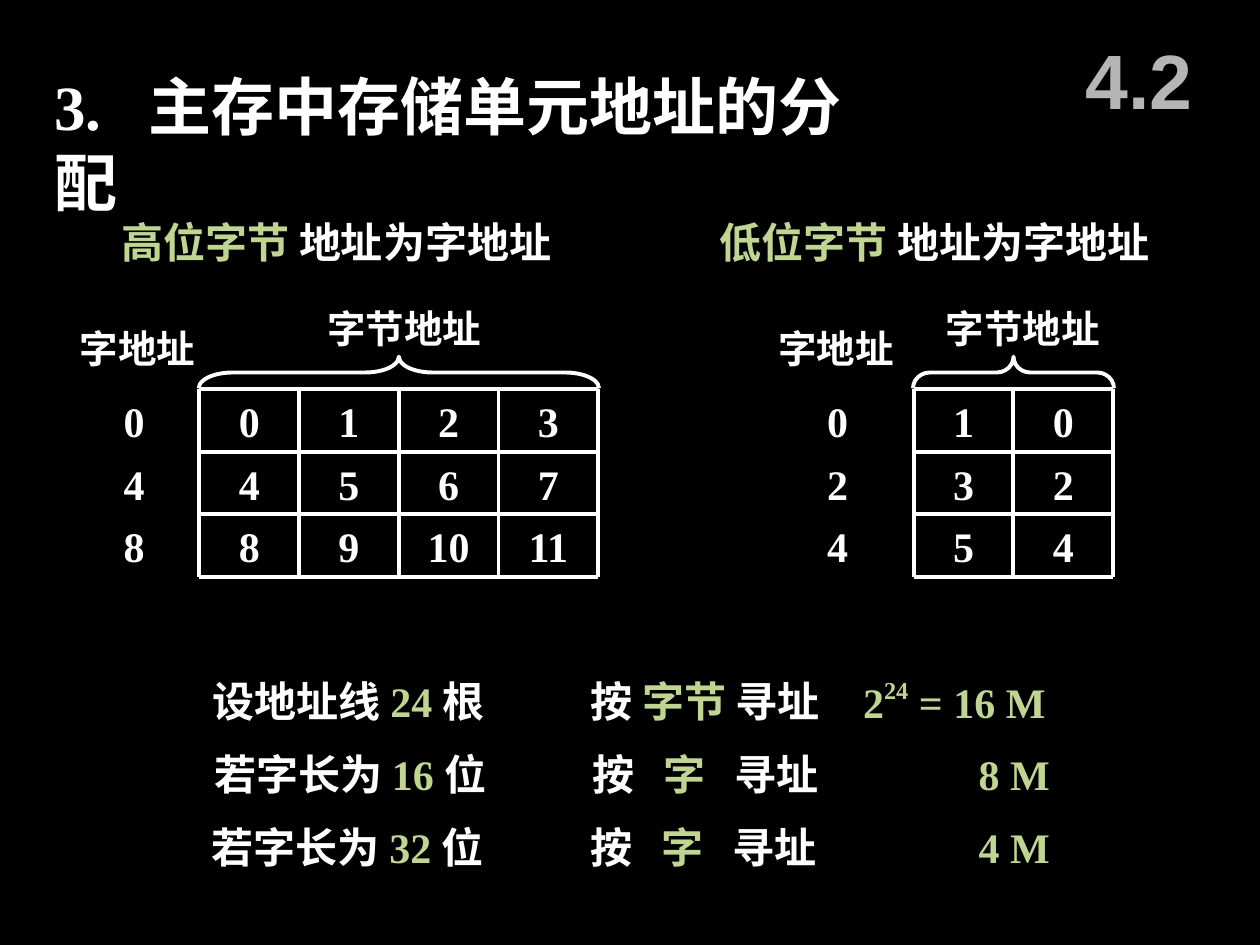
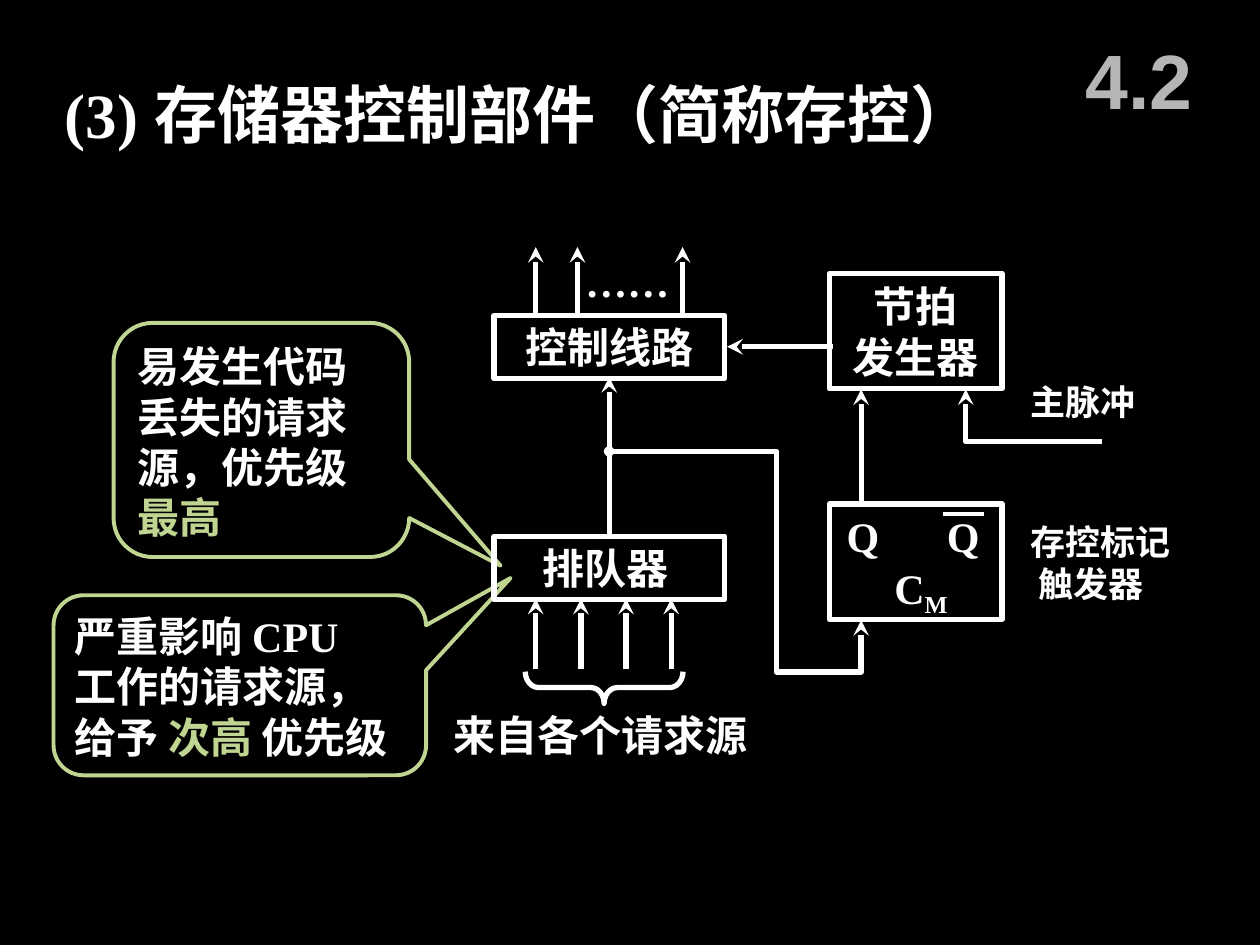
"""Build two slides on main memory addressing and memory control."""
from dataclasses import dataclass
from typing import Any, NamedTuple

from lxml.etree import SubElement
from pptx import Presentation
from pptx.dml.color import RGBColor
from pptx.enum.shapes import MSO_CONNECTOR, MSO_SHAPE
from pptx.enum.text import MSO_ANCHOR, MSO_AUTO_SIZE, PP_ALIGN
from pptx.oxml.ns import qn
from pptx.util import Cm, Pt

HUES = {"back": "000000", "white": "FFFFFF", "green": "C0D591", "gray": "B5B5B5"}
SERIF = {"name": "Times New Roman", "bold": True}
SANS = {"name": "Arial", "bold": True}
FRAME = {"word_wrap": True, "auto_size": MSO_AUTO_SIZE.NONE,
         "margin_left": Cm(0.25), "margin_right": Cm(0.25),
         "margin_top": Cm(0.13), "margin_bottom": Cm(0.13)}
CELL_W, ROW_H, GRID_TOP = 2.01, 1.26, 7.85


class Bit(NamedTuple):
    """A run of text with its tone and baseline shift."""
    text: str
    tone: str = "white"
    base: int = 0


class Box(NamedTuple):
    """A place on the slide in centimetres."""
    left: float
    top: float
    width: float
    height: float


@dataclass
class Note:
    """A block of text, one list of bits per paragraph."""
    box: Box
    lines: list[list[Bit]]
    size: int = 24
    align: Any = PP_ALIGN.LEFT
    anchor: Any = MSO_ANCHOR.TOP
    tabs: tuple[float, ...] = ()


@dataclass
class Grid:
    """A ruled set of byte addresses with its word labels."""
    left: float
    cells: list[list[int]]
    labels: list[int]
    shift: float
    head: float
    mark: float
    bend: float


@dataclass
class Wire:
    """A line through some points, with optional ends."""
    points: list[tuple[float, float]]
    head: str = ""
    tail: str = "stealth"
    width: float = 3


def hue(name: str) -> RGBColor:
    """Look up a colour."""
    return RGBColor.from_string(HUES[name])


def apply(item: Any, values: dict[str, Any]) -> None:
    """Set each named value on an item."""
    for key, value in values.items():
        setattr(item, key, value)


def place(item: Any, box: Box) -> None:
    """Move and size an item."""
    apply(item, {key: Cm(value) for key, value in box._asdict().items()})


def write(frame: Any, note: Note, face: dict[str, Any] = SERIF) -> None:
    """Fill a text frame from a note."""
    apply(frame, {**FRAME, "vertical_anchor": note.anchor})
    for count, line in enumerate(note.lines):
        para = frame.add_paragraph() if count else frame.paragraphs[0]
        para.alignment = note.align
        if note.tabs:
            stops = SubElement(para._p.get_or_add_pPr(), qn("a:tabLst"))
            for stop in note.tabs:
                SubElement(stops, qn("a:tab"), pos=str(Cm(stop)), algn="l")
        for bit in line:
            run = para.add_run()
            run.text = bit.text
            apply(run.font, {**face, "size": Pt(note.size)})
            run.font.color.rgb = hue(bit.tone)
            if bit.base:
                run._r.get_or_add_rPr().set("baseline", str(bit.base * 1000))


def add_note(slide: Any, note: Note, face: dict[str, Any] = SERIF) -> None:
    """Add a text box."""
    write(slide.shapes.add_textbox(*map(Cm, note.box)).text_frame, note, face)


def say(slide: Any, left: float, top: float, *bits: Bit, width: float = 8,
        **more: Any) -> None:
    """Add a single line of text."""
    add_note(slide, Note(Box(left, top, width, 1.27), [list(bits)], **more))


def start(deck: Any, note: Note) -> Any:
    """Add a slide with its title and section number."""
    slide = deck.slides.add_slide(deck.slide_layouts[5])
    place(slide.shapes.title, note.box)
    write(slide.shapes.title.text_frame, note)
    add_note(slide, Note(Box(21.38, 0.42, 3.18, 2.33), [[Bit("4.2", "gray")]], 44,
                         PP_ALIGN.CENTER, MSO_ANCHOR.MIDDLE), SANS)
    return slide


def outline(shape: Any, tone: str = "white", width: float = 3) -> None:
    """Draw a shape as a plain outline."""
    shape.shadow.inherit = False
    shape.fill.background()
    shape.line.color.rgb = hue(tone)
    shape.line.width = Pt(width)


def add_shape(slide: Any, kind: Any, box: Box, adjust: tuple[float, ...] = (),
              tone: str = "white", width: float = 3) -> Any:
    """Add an outlined preset shape."""
    shape = slide.shapes.add_shape(kind, *map(Cm, box))
    for count, value in enumerate(adjust):
        shape.adjustments[count] = value
    outline(shape, tone, width)
    return shape


def add_brace(slide: Any, mid: tuple[float, float], span: float, bend: float,
              turn: int, width: float) -> None:
    """Add a brace lying on its side around a centre."""
    box = Box(mid[0] - 0.32, mid[1] - span / 2, 0.64, span)
    add_shape(slide, MSO_SHAPE.LEFT_BRACE, box, (bend, 0.5), width=width).rotation = turn


def add_wire(slide: Any, wire: Wire) -> None:
    """Add a straight connector or a bent line."""
    first, *rest = [(Cm(x), Cm(y)) for x, y in wire.points]
    if len(rest) == 1:
        line = slide.shapes.add_connector(MSO_CONNECTOR.STRAIGHT, *first, *rest[0])
        line.line.color.rgb = hue("white")
        line.line.width = Pt(wire.width)
        SubElement(line._element.spPr, qn("a:effectLst"))
    else:
        path = slide.shapes.build_freeform(*first)
        path.add_line_segments(rest, close=False)
        line = path.convert_to_shape()
        outline(line, width=wire.width)
    for tag, end in (("a:headEnd", wire.head), ("a:tailEnd", wire.tail)):
        if end:
            size = "sm" if end == "oval" else "med"
            SubElement(line.line._get_or_add_ln(), qn(tag), type=end, w=size, len=size)


def add_grid(slide: Any, grid: Grid) -> None:
    """Add ruled addresses with labels, heads and a brace."""
    rows, cols = len(grid.cells), len(grid.cells[0])
    wide, high = cols * CELL_W, rows * ROW_H
    right, base = grid.left + wide, GRID_TOP + high
    for row, (label, values) in enumerate(zip(grid.labels, grid.cells)):
        spots = [grid.left - grid.shift] + [grid.left + n * CELL_W for n in range(cols)]
        for left, value in zip(spots, [label, *values]):
            say(slide, left, GRID_TOP + row * ROW_H, Bit(str(value)), width=CELL_W,
                align=PP_ALIGN.CENTER, anchor=MSO_ANCHOR.MIDDLE)
    levels = [GRID_TOP + n * ROW_H for n in range(rows + 1)]
    sides = [grid.left + n * CELL_W for n in range(cols + 1)]
    rules = [[(grid.left, y), (right, y)] for y in levels]
    rules += [[(x, GRID_TOP), (x, base)] for x in sides]
    for rule in rules:
        add_wire(slide, Wire(rule, tail="", width=2.25))
    say(slide, grid.mark, 6.43, Bit("字地址"), width=3.48, size=22)
    say(slide, grid.head, 6.01, Bit("字节地址"), width=4, size=22)
    add_brace(slide, (grid.left + wide / 2, 7.51), wide + 0.03, grid.bend, 90, 2.25)


def draw_units(deck: Any) -> None:
    """Draw the slide on addresses of memory units."""
    slide = start(deck, Note(Box(0.84, 1.24, 17.4, 1.78),
                             [[Bit("3.\t主存中存储单元地址的分配")]], 36, tabs=(1.9,)))
    for left, part in ((2.2, "高位字节 "), (14.26, "低位字节 ")):
        say(slide, left, 4.24, Bit(part, "green"), Bit("地址为字地址"), width=10)
    add_grid(slide, Grid(4.02, [[4 * r + c for c in range(4)] for r in range(3)],
                         [0, 4, 8], 2.32, 6.35, 1.36, 1.062))
    add_grid(slide, Grid(18.42, [[2 * r + 1, 2 * r] for r in range(3)],
                         [0, 2, 4], 2.54, 18.82, 15.44, 0.528))
    facts = [
        ("设地址线 ", "24 ", "根", ("按 ", "字节 ", "寻址"), 4.04, 11.66, 17.15,
         [Bit("2", "green"), Bit("24", "green", 45), Bit(" = 16 M", "green")]),
        ("若字长为 ", "16 ", "位", ("按\t", "字", "\t寻址"), 4.07, 11.69, 19.48,
         [Bit("8 M", "green")]),
        ("若字长为 ", "32", " 位", ("按\t", "字", "\t寻址"), 4.02, 11.65, 19.48,
         [Bit("4 M", "green")]),
    ]
    for count, (lead, size, unit, mode, lead_x, mode_x, sum_x, total) in enumerate(facts):
        top = 13.49 + count * 1.47
        say(slide, lead_x, top, Bit(lead), Bit(size, "green"), Bit(unit))
        say(slide, mode_x, top, Bit(mode[0]), Bit(mode[1], "green"), Bit(mode[2]),
            tabs=(1.43, 2.86))
        say(slide, sum_x, top, *total, width=5.6)


def draw_control(deck: Any) -> None:
    """Draw the slide on the memory control unit."""
    slide = start(deck, Note(Box(1.06, 1.4, 20.96, 1.78),
                             [[Bit("(3) 存储器控制部件（简称存控）")]], 36))
    calls = [
        (Box(2.29, 6.51, 5.96, 4.72), (0.809, 0.537, 0.167),
         [[Bit("易发生代码")], [Bit("丢失的请求源，优先级")], [Bit("最高", "green")]]),
        (Box(1.08, 12, 7.51, 3.63), (0.727, -0.596, 0.167),
         [[Bit("严重影响 CPU")], [Bit("工作的请求源，")],
          [Bit("给予 "), Bit("次高 ", "green"), Bit("优先级")]]),
    ]
    for box, adjust, lines in calls:
        shape = add_shape(slide, MSO_SHAPE.ROUNDED_RECTANGULAR_CALLOUT, box, adjust,
                          "green", 2.25)
        write(shape.text_frame, Note(box, lines))
    blocks = [(Box(9.96, 6.36, 4.65, 1.27), ["控制线路"]),
              (Box(9.96, 10.81, 4.65, 1.27), []),
              (Box(16.72, 5.51, 3.48, 2.33), ["节拍", "发生器"]),
              (Box(16.72, 10.16, 3.48, 2.33), [])]
    for box, lines in blocks:
        shape = add_shape(slide, MSO_SHAPE.RECTANGLE, box)
        if lines:
            write(shape.text_frame, Note(box, [[Bit(line)] for line in lines],
                                         align=PP_ALIGN.CENTER, anchor=MSO_ANCHOR.MIDDLE))
    say(slide, 10.69, 10.8, Bit("排队器"), width=3.2)
    for left in (16.82, 18.84):
        say(slide, left, 10.16, Bit("Q"), width=1.2)
    say(slide, 17.78, 11.22, Bit("C"), Bit("M", base=-20), width=2)
    say(slide, 8.89, 14.17, Bit("来自各个请求源"))
    say(slide, 11.55, 5.03, Bit("……"), width=2.4)
    say(slide, 20.52, 7.54, Bit("主脉冲"), width=3, size=20)
    add_note(slide, Note(Box(20.53, 10.36, 4.5, 1.96),
                         [[Bit("存控标记")], [Bit(" 触发器")]], 20))
    add_brace(slide, (12.18, 13.86), 3.18, 0.417, 270, 3)
    wires = [Wire([(x, 13.49), (x, 12.07)]) for x in (10.8 + 0.91 * n for n in range(4))]
    wires += [Wire([(x, 6.4), (x, 4.98)]) for x in (10.8, 11.64, 13.76)]
    wires += [
        Wire([(19, 10.36), (19.84, 10.36)], tail="", width=2.25),
        Wire([(17.36, 10.16), (17.36, 7.85)]),
        Wire([(16.79, 6.99), (14.66, 6.99)]),
        Wire([(12.28, 10.8), (12.28, 7.6)]),
        Wire([(22.22, 8.9), (19.47, 8.9), (19.47, 7.85)]),
        Wire([(17.36, 12.5), (17.36, 13.55), (15.66, 13.55), (15.66, 9.1),
              (12.28, 9.1)], "stealth", "oval"),
    ]
    for wire in wires:
        add_wire(slide, wire)


def main() -> None:
    """Build and save the deck."""
    deck = Presentation()
    apply(deck, {"slide_width": Cm(25.4), "slide_height": Cm(19.05)})
    fill = deck.slide_master.background.fill
    fill.solid()
    fill.fore_color.rgb = hue("back")
    draw_units(deck)
    draw_control(deck)
    deck.save("out.pptx")


if __name__ == "__main__":
    main()
